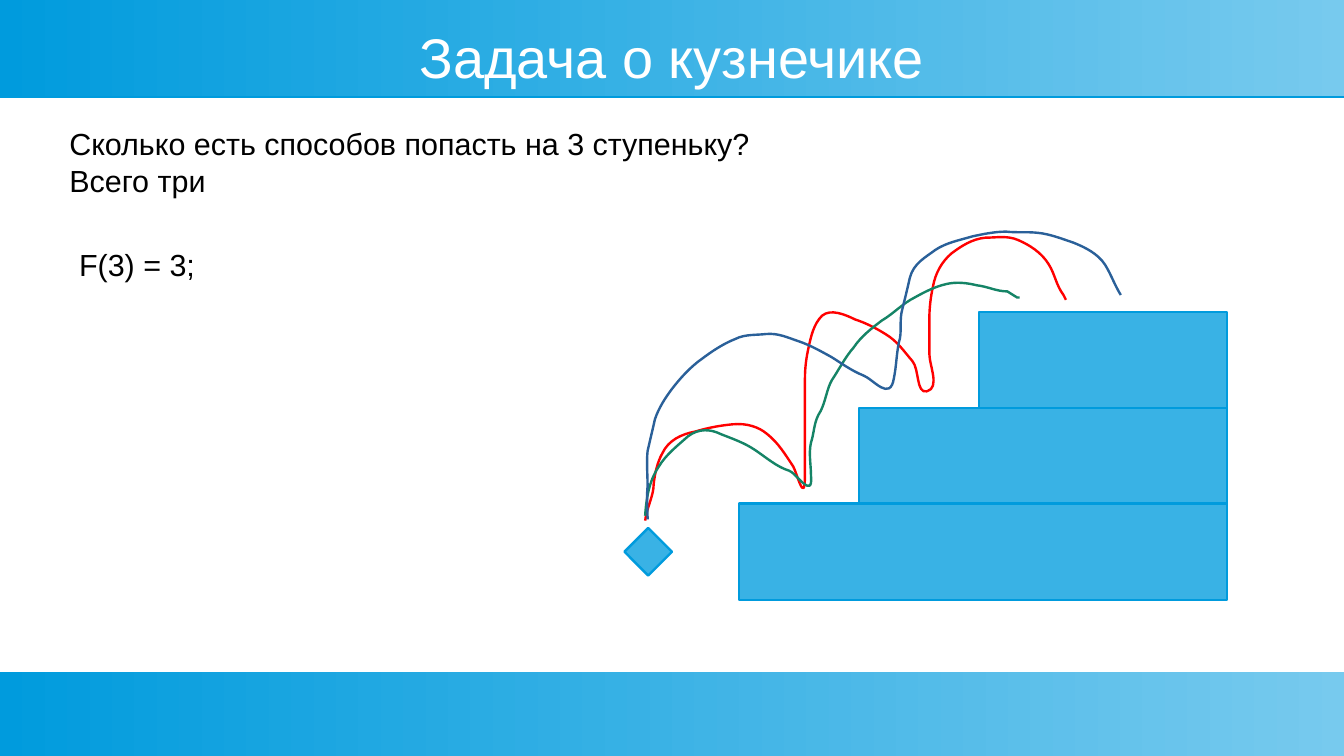
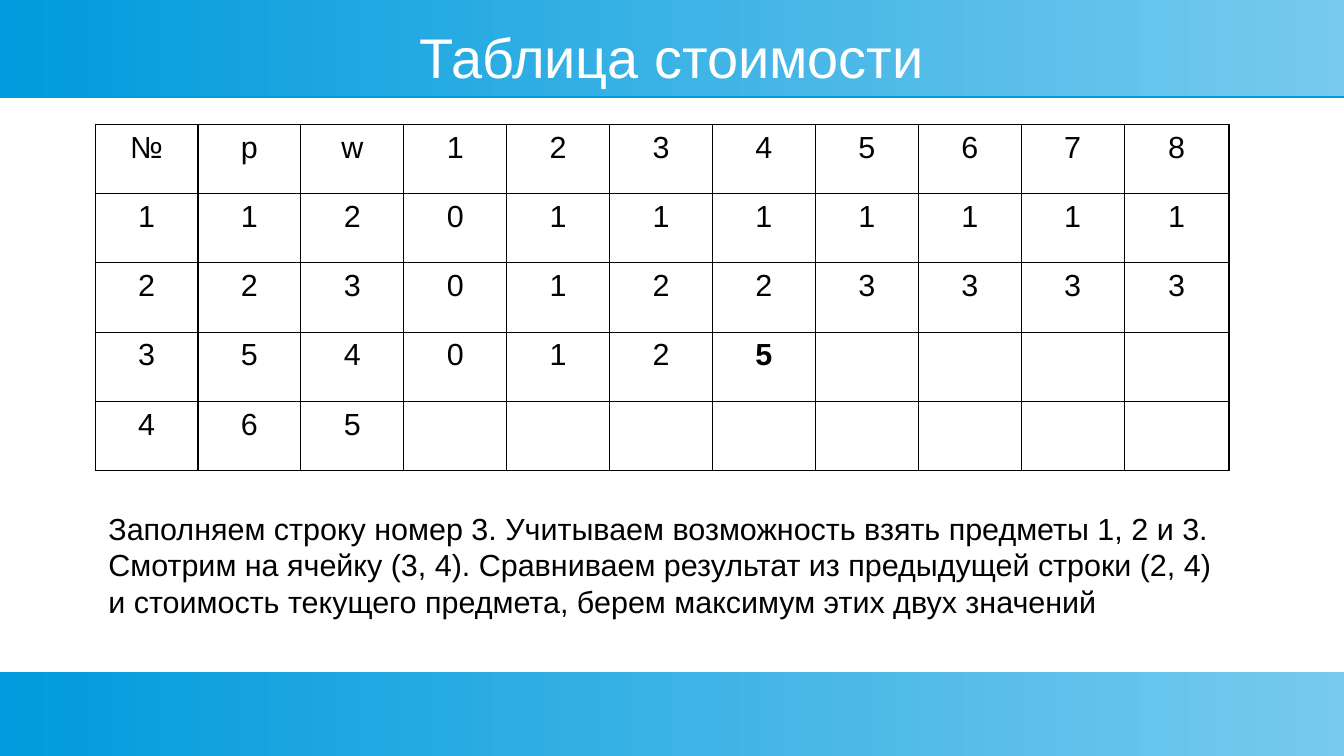
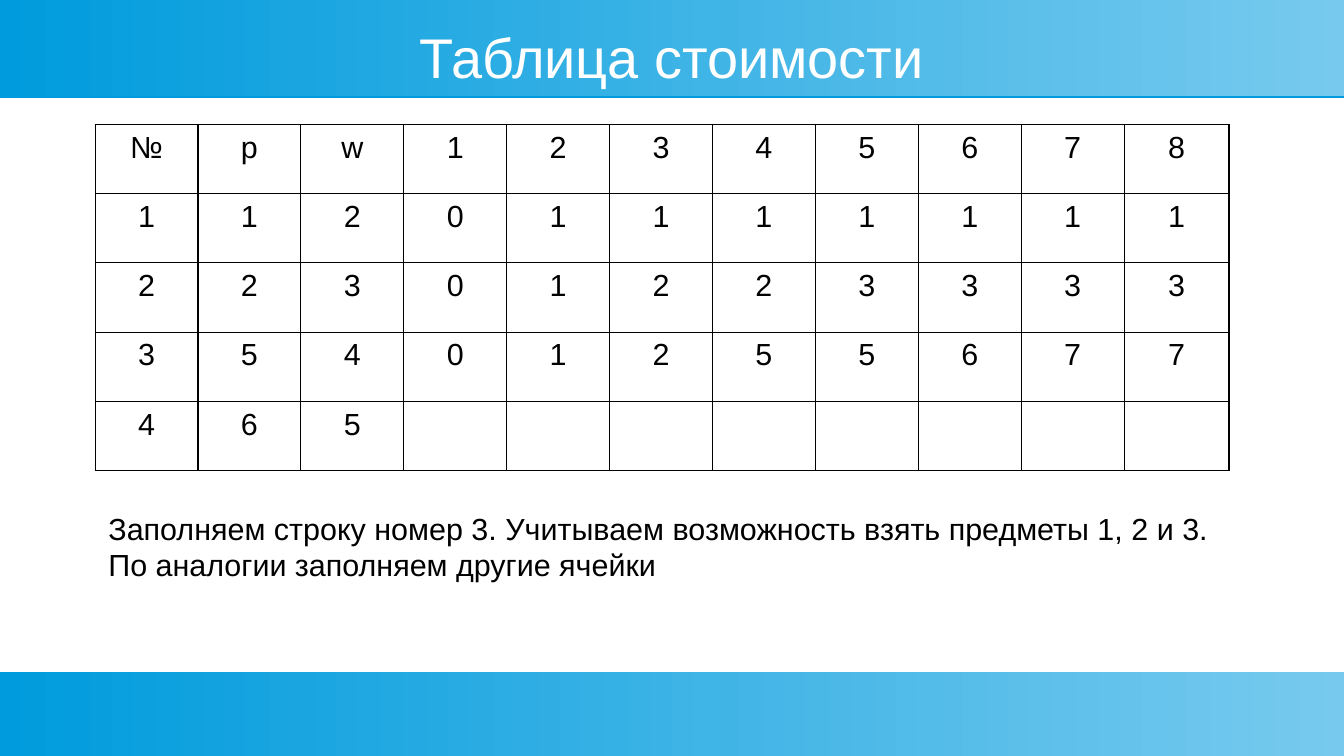
from itertools import product

from lxml.etree import SubElement
from pptx import Presentation
from pptx.dml.color import RGBColor
from pptx.enum.shapes import MSO_SHAPE
from pptx.enum.text import MSO_ANCHOR, MSO_AUTO_SIZE, PP_ALIGN
from pptx.oxml.ns import qn
from pptx.util import Inches, Pt

SLIDE_WIDTH, SLIDE_HEIGHT = 11.02, 6.2
FONT = "Arial"
COLORS = {
    "band_dark": "009BDD",
    "band_light": "77CAEE",
    "step": "39B2E5",
    "text": "000000",
    "title": "FFFFFF",
    "red": "FF0000",
    "green": "158466",
    "blue": "2A6099",
}
BANDS = [(0, 0.79), (5.51, 0.69)]

RED_START = (5.29, 4.27)
RED_CURVES = [
    (5.3, 4.17, 5.36, 4.07, 5.36, 3.97),
    (5.37, 3.88, 5.39, 3.79, 5.43, 3.72),
    (5.48, 3.61, 5.59, 3.56, 5.7, 3.54),
    (5.8, 3.51, 5.9, 3.49, 6.01, 3.48),
    (6.12, 3.47, 6.22, 3.5, 6.29, 3.56),
    (6.38, 3.63, 6.44, 3.73, 6.5, 3.82),
    (6.53, 3.86, 6.6, 4.16, 6.6, 3.9),
    (6.6, 3.81, 6.6, 3.72, 6.6, 3.63),
    (6.6, 3.54, 6.6, 3.45, 6.6, 3.36),
    (6.6, 3.28, 6.6, 3.19, 6.6, 3.11),
    (6.6, 3.02, 6.61, 2.94, 6.63, 2.85),
    (6.65, 2.76, 6.67, 2.66, 6.74, 2.59),
    (6.81, 2.53, 6.93, 2.58, 7.01, 2.62),
    (7.1, 2.65, 7.18, 2.69, 7.26, 2.74),
    (7.36, 2.8, 7.41, 2.88, 7.48, 2.96),
    (7.54, 3.03, 7.51, 3.23, 7.6, 3.21),
    (7.71, 3.18, 7.62, 3, 7.62, 2.9),
    (7.62, 2.8, 7.62, 2.71, 7.62, 2.62),
    (7.62, 2.53, 7.63, 2.44, 7.65, 2.35),
    (7.67, 2.24, 7.72, 2.15, 7.8, 2.08),
    (7.88, 2.02, 7.97, 1.96, 8.08, 1.95),
    (8.17, 1.95, 8.26, 1.93, 8.35, 1.97),
    (8.44, 2.01, 8.54, 2.07, 8.6, 2.17),
    (8.65, 2.25, 8.66, 2.34, 8.72, 2.42),
]
RED_END = [(8.74, 2.46)]

GREEN_START = (5.29, 4.23)
GREEN_CURVES = [
    (5.3, 4.09, 5.32, 3.95, 5.4, 3.83),
    (5.46, 3.73, 5.55, 3.66, 5.64, 3.58),
    (5.73, 3.51, 5.83, 3.52, 5.91, 3.56),
    (6.01, 3.6, 6.1, 3.63, 6.19, 3.69),
    (6.28, 3.75, 6.37, 3.83, 6.47, 3.86),
    (6.52, 3.87, 6.67, 4.11, 6.65, 3.9),
    (6.65, 3.81, 6.63, 3.72, 6.65, 3.63),
    (6.68, 3.54, 6.67, 3.46, 6.73, 3.37),
    (6.77, 3.29, 6.78, 3.19, 6.82, 3.12),
    (6.88, 3.03, 6.93, 2.93, 7, 2.85),
    (7.06, 2.76, 7.15, 2.69, 7.23, 2.63),
    (7.33, 2.57, 7.4, 2.49, 7.5, 2.44),
    (7.59, 2.39, 7.67, 2.35, 7.76, 2.33),
    (7.84, 2.31, 7.93, 2.32, 8.01, 2.34),
    (8.1, 2.35, 8.17, 2.39, 8.26, 2.39),
]
GREEN_END = [(8.34, 2.44), (8.36, 2.44)]

BLUE_START = (5.31, 4.26)
BLUE_CURVES = [
    (5.31, 4.17, 5.3, 4.08, 5.31, 3.99),
    (5.31, 3.89, 5.3, 3.79, 5.31, 3.7),
    (5.33, 3.61, 5.35, 3.53, 5.37, 3.44),
    (5.4, 3.35, 5.45, 3.27, 5.51, 3.19),
    (5.58, 3.1, 5.66, 3.01, 5.76, 2.94),
    (5.84, 2.88, 5.93, 2.82, 6.03, 2.78),
    (6.11, 2.74, 6.2, 2.75, 6.28, 2.74),
    (6.38, 2.73, 6.46, 2.77, 6.55, 2.8),
    (6.64, 2.83, 6.73, 2.88, 6.82, 2.93),
    (6.9, 2.98, 6.98, 3.04, 7.08, 3.08),
    (7.16, 3.11, 7.3, 3.3, 7.33, 3.1),
    (7.35, 3, 7.35, 2.91, 7.37, 2.81),
    (7.4, 2.72, 7.37, 2.63, 7.4, 2.53),
    (7.42, 2.45, 7.44, 2.37, 7.46, 2.28),
    (7.49, 2.16, 7.59, 2.11, 7.67, 2.05),
    (7.76, 1.99, 7.87, 1.97, 7.97, 1.94),
    (8.06, 1.92, 8.16, 1.9, 8.25, 1.9),
    (8.34, 1.91, 8.42, 1.9, 8.51, 1.91),
    (8.61, 1.92, 8.71, 1.96, 8.8, 1.99),
    (8.9, 2.03, 9, 2.08, 9.06, 2.17),
    (9.11, 2.25, 9.14, 2.34, 9.19, 2.42),
]

COST_ROWS = ["№ p w 1 2 3 4 5 6 7 8", "1 1 2 0 1 1 1 1 1 1 1", "2 2 3 0 1 2 2 3 3 3 3"]
LAST_ITEM = "4 6 5"
TABLE_WIDTH, LAST_COLUMN_WIDTH = 9.3, 0.86
ROW_INTRO = "Заполняем строку номер 3. Учитываем возможность взять предметы 1, 2 и 3."


def rgb(color):
    return RGBColor.from_string(COLORS[color])


def box(left, top, width, height):
    return [Inches(length) for length in (left, top, width, height)]


def set_font(paragraph, size=18, color="text"):
    paragraph.font.name = FONT
    paragraph.font.size = Pt(size)
    paragraph.font.color.rgb = rgb(color)


def set_outline(shape, color):
    shape.shadow.inherit = False
    shape.line.color.rgb = rgb(color)
    shape.line.width = Pt(1.42)


def add_band(slide, layout, top, height):
    band = slide.shapes.add_shape(MSO_SHAPE.RECTANGLE, *box(0, top, SLIDE_WIDTH, height))
    band.line.fill.background()
    band.fill.gradient()
    band.fill.gradient_angle = 180
    for stop, color in zip(band.fill.gradient_stops, ("band_light", "band_dark")):
        stop.color.rgb = rgb(color)
    band.shadow.inherit = False
    effects = band._element.spPr.find(qn("a:effectLst"))
    shadow = SubElement(effects, qn("a:outerShdw"), dist=str(Pt(0.9)), dir="5400000", rotWithShape="0")
    SubElement(shadow, qn("a:srgbClr"), val=COLORS["band_dark"])
    layout.shapes._spTree.insert(2, band._element)


def keep_only_title(layout):
    for placeholder in list(layout.placeholders):
        if placeholder.placeholder_format.idx != 0:
            layout.shapes._spTree.remove(placeholder._element)


def add_titled_slide(deck, layout, title_text):
    slide = deck.slides.add_slide(layout)
    title = slide.shapes.title
    title.left, title.top, title.width, title.height = box(0.39, 0.2, 10.24, 0.52)
    frame = title.text_frame
    frame.text = title_text
    frame.auto_size = MSO_AUTO_SIZE.NONE
    frame.vertical_anchor = MSO_ANCHOR.MIDDLE
    frame.margin_left = frame.margin_right = frame.margin_top = frame.margin_bottom = 0
    frame.paragraphs[0].alignment = PP_ALIGN.CENTER
    set_font(frame.paragraphs[0], 33, "title")
    return slide


def add_text(slide, place, *lines):
    frame = slide.shapes.add_textbox(*box(*place)).text_frame
    frame.word_wrap = True
    frame.text = "\n".join(lines)
    for paragraph in frame.paragraphs:
        set_font(paragraph)


def add_block(slide, preset, place):
    block = slide.shapes.add_shape(preset, *box(*place))
    block.fill.solid()
    block.fill.fore_color.rgb = rgb("step")
    set_outline(block, "band_dark")


def add_jump(slide, color, start, curves, end=()):
    points = [pair for curve in curves for pair in zip(curve[::2], curve[1::2])]
    builder = slide.shapes.build_freeform(Inches(start[0]), Inches(start[1]))
    builder.add_line_segments(
        [(Inches(x), Inches(y)) for x, y in (*points, *end)], close=False
    )
    jump = builder.convert_to_shape()
    segments = list(jump._element.iter(qn("a:lnTo")))
    for first in range(0, len(points), 3):
        outgoing, incoming, landing = segments[first:first + 3]
        bend = outgoing.getparent().makeelement(qn("a:cubicBezTo"))
        outgoing.addprevious(bend)
        for segment in (outgoing, incoming, landing):
            bend.append(segment[0])
            segment.getparent().remove(segment)
    jump.fill.background()
    set_outline(jump, color)


def add_borders(cell):
    properties = cell._tc.get_or_add_tcPr()
    for side in ("lnL", "lnR", "lnT", "lnB"):
        border = SubElement(properties, qn(f"a:{side}"), w=str(Pt(0.75)))
        fill = SubElement(border, qn("a:solidFill"))
        SubElement(fill, qn("a:srgbClr"), val=COLORS["text"])


def add_cost_table(slide, third_item, bold_cell=None):
    rows = [row.split() for row in (*COST_ROWS, third_item, LAST_ITEM)]
    row_count, column_count = len(rows), len(rows[0])
    table = slide.shapes.add_table(
        row_count, column_count, *box(0.78, 1.02, TABLE_WIDTH, 2.84)
    ).table
    table.first_row = table.horz_banding = False
    for column in table.columns:
        column.width = Inches((TABLE_WIDTH - LAST_COLUMN_WIDTH) / (column_count - 1))
    table.columns[column_count - 1].width = Inches(LAST_COLUMN_WIDTH)
    for row, column in product(range(row_count), range(column_count)):
        cell = table.cell(row, column)
        cell.margin_left = cell.margin_right = Inches(0.04)
        add_borders(cell)
        cell.fill.background()
        if column < len(rows[row]):
            cell.text = rows[row][column]
        paragraph = cell.text_frame.paragraphs[0]
        paragraph.alignment = PP_ALIGN.CENTER
        set_font(paragraph)
        if (row, column) == bold_cell:
            paragraph.font.bold = True


def add_grasshopper_slide(deck, layout):
    slide = add_titled_slide(deck, layout, "Задача о кузнечике")
    add_jump(slide, "red", RED_START, RED_CURVES, RED_END)
    add_text(slide, (0.47, 0.98, 9.76, 0.94),
             "Сколько есть способов попасть на 3 ступеньку?", "Всего три")
    add_text(slide, (0.55, 1.97, 4.13, 1.5), "F(3) = 3;")
    top_left, bottom_left, right = 8.03, 6.06, 10.06
    highest, lowest = 2.56, 4.13
    for step in range(3):
        left = top_left - (top_left - bottom_left) * step / 2
        top = highest + (lowest - highest) * step / 2
        add_block(slide, MSO_SHAPE.RECTANGLE, (left, top, right - left, 0.79))
    add_block(slide, MSO_SHAPE.DIAMOND, (5.12, 4.33, 0.39, 0.39))
    add_jump(slide, "green", GREEN_START, GREEN_CURVES, GREEN_END)
    add_jump(slide, "blue", BLUE_START, BLUE_CURVES)
    return slide


def add_cost_slide(deck, layout, third_item, explanation, text_height, bold_cell=None):
    slide = add_titled_slide(deck, layout, "Таблица стоимости")
    add_cost_table(slide, third_item, bold_cell)
    add_text(slide, (0.79, 4.13, 9.45, text_height), ROW_INTRO, explanation)


def main():
    deck = Presentation()
    deck.slide_width, deck.slide_height = Inches(SLIDE_WIDTH), Inches(SLIDE_HEIGHT)
    layout = deck.slide_layouts.get_by_name("Title Only")
    keep_only_title(layout)
    opening = add_grasshopper_slide(deck, layout)
    for top, height in BANDS:
        add_band(opening, layout, top, height)
    add_cost_slide(
        deck, layout, "3 5 4 0 1 2 5",
        "Смотрим на ячейку (3, 4). Сравниваем результат из предыдущей строки (2, 4) "
        "и стоимость текущего предмета, берем максимум этих двух значений",
        0.94, bold_cell=(3, 6),
    )
    add_cost_slide(
        deck, layout, "3 5 4 0 1 2 5 5 6 7 7", "По аналогии заполняем другие ячейки", 0.66
    )
    deck.save("out.pptx")


if __name__ == "__main__":
    main()
